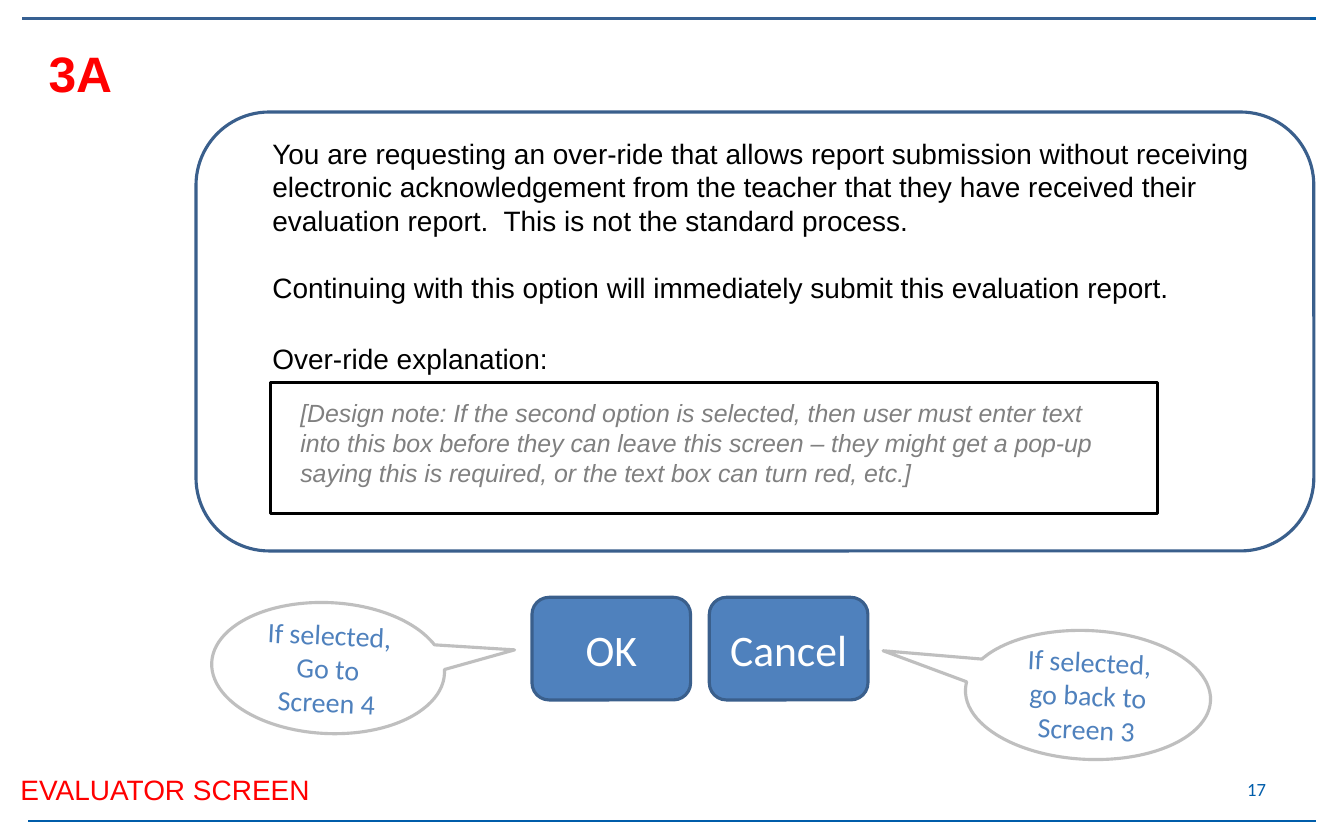
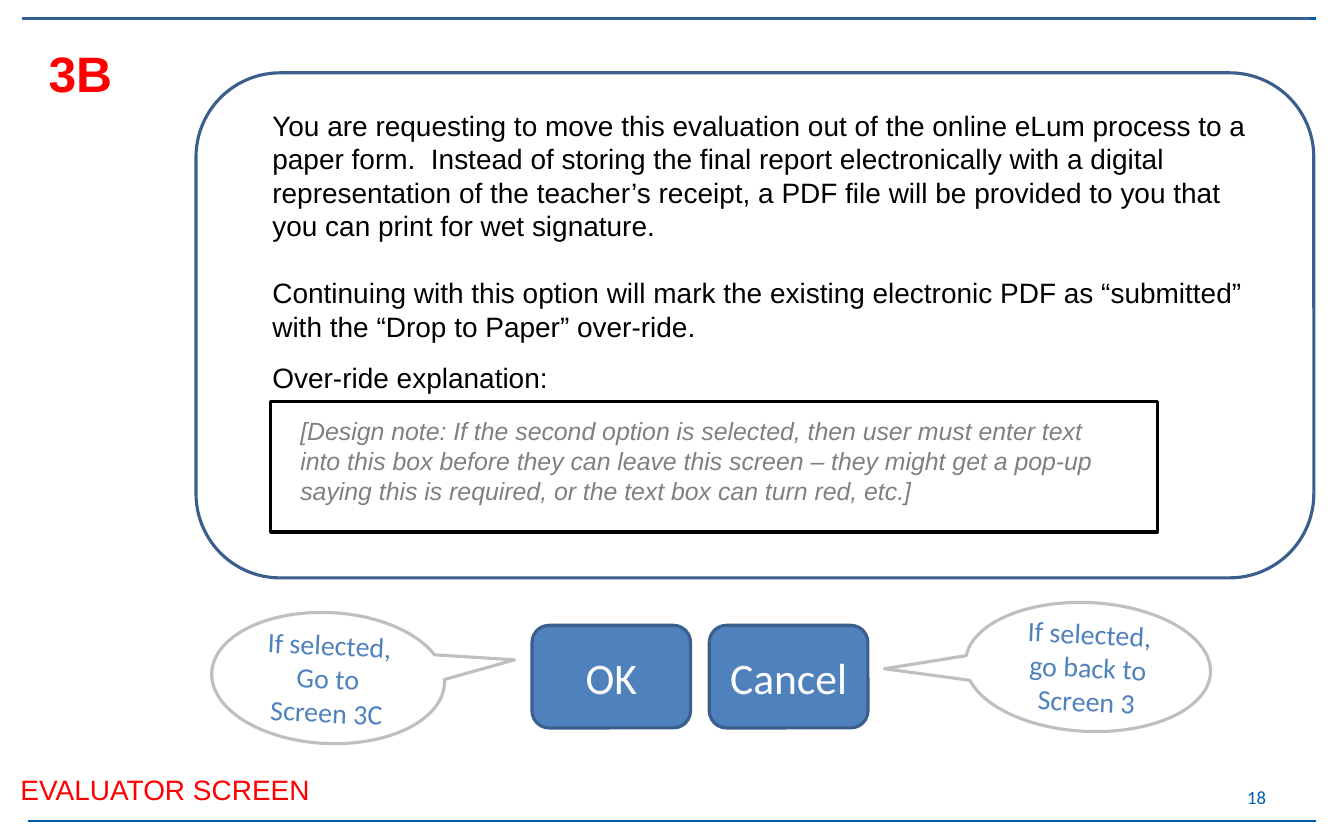
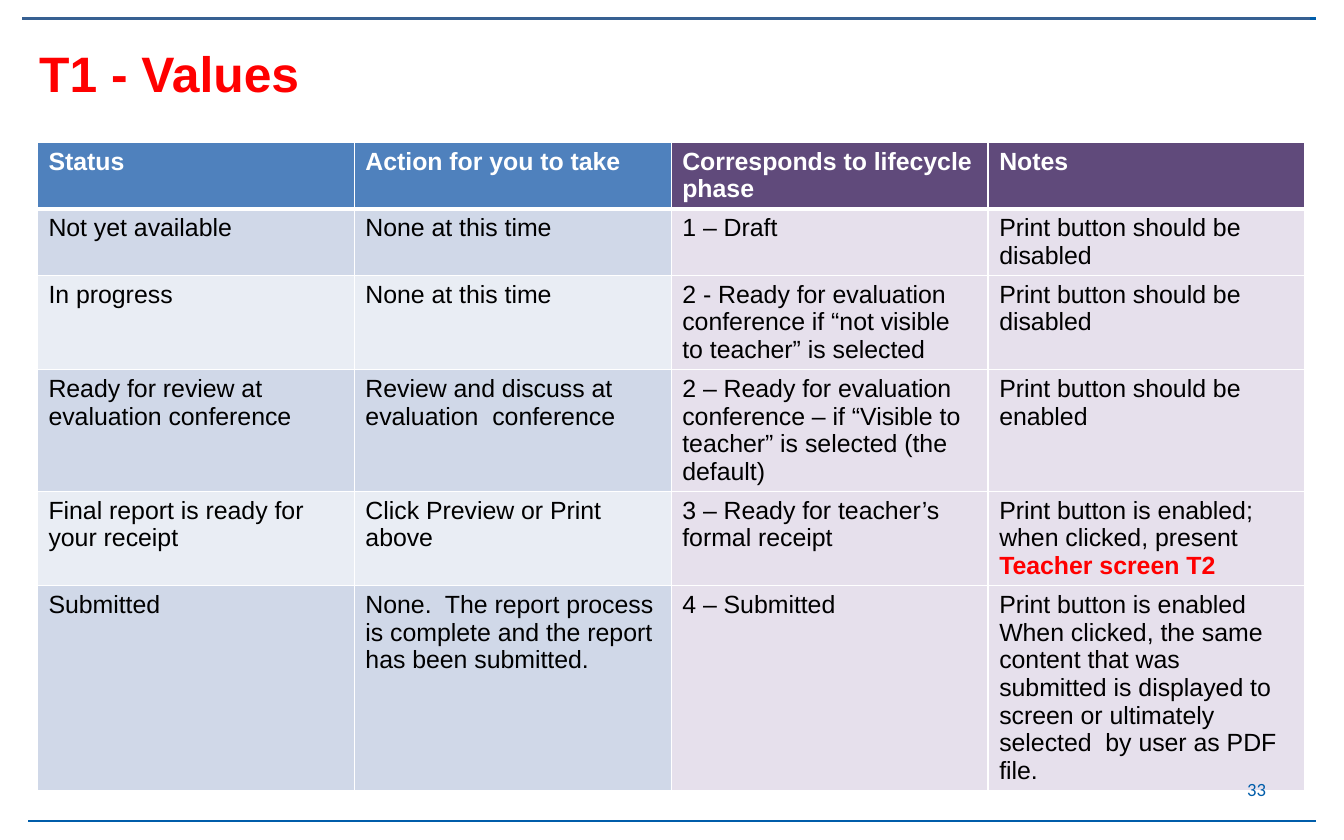
from lxml import etree
from pptx import Presentation
from pptx.dml.color import RGBColor
from pptx.enum.shapes import MSO_CONNECTOR, MSO_SHAPE as SHAPE
from pptx.enum.text import MSO_ANCHOR as ANCHOR, MSO_AUTO_SIZE, PP_ALIGN as ALIGN
from pptx.oxml.ns import qn
from pptx.util import Pt

WHITE, BLACK, RED = "FFFFFF", "000000", "FF0000"
BLUE, EDGE, RULE, TOP_RULE = "4F81BD", "3A5F8C", "005DAA", "376092"
PURPLE, LILAC, GREY, SILVER = "604A7B", "E6E0EC", "808080", "BFBFBF"
BANDS = ["D0D8E8", "E9EDF4"]
BLANK_LINE = 21.5

DESIGN_NOTE = (
    "[Design note: If the second option is selected, then user must enter text into this box "
    "before they can leave this screen – they might get a pop-up saying this is required, "
    "or the text box can turn red, etc.]"
)

SCREENS = [
    dict(
        title="3A", page="17", page_top=493, panel=(126, 72, 718.6, 282.2),
        message_top=84, label_top=216, button_top=384,
        message=[
            "You are requesting an over-ride that allows report submission without receiving "
            "electronic acknowledgement from the teacher that they have received their evaluation "
            "report.  This is not the standard process.",
            "Continuing with this option will immediately submit this evaluation report.",
        ],
        callouts=[
            ("If selected, Go to Screen 4", (136, 387.4, 149.8, 84.2), (0.796, -0.206)),
            ("If selected, go back to Screen 3", (620.6, 405.4, 157.7, 82.8), (-0.843, -0.268)),
        ],
    ),
    dict(
        title="3B", page="18", page_top=498, panel=(126, 46.8, 718.6, 324.7),
        message_top=66, label_top=228, button_top=402,
        message=[
            "You are requesting to move this evaluation out of the online eLum process to a paper "
            "form.  Instead of storing the final report electronically with a digital representation "
            "of the teacher’s receipt, a PDF file will be provided to you that you can print for wet "
            "signature.",
            "Continuing with this option will mark the existing electronic PDF as “submitted” with "
            "the “Drop to Paper” over-ride.",
        ],
        callouts=[
            ("If selected, Go to Screen 3C", (136, 393.8, 149.8, 84.2), (0.796, -0.206)),
            ("If selected, go back to Screen 3", (620.6, 387.4, 157.7, 82.8), (-0.829, 0.088)),
        ],
    ),
]

HIGHLIGHT = "Teacher screen T2"
STATUS_ROWS = [
    ["Status", "Action for you to take", "Corresponds to lifecycle phase", "Notes"],
    ["Not yet available", "None at this time", "1 – Draft", "Print button should be disabled"],
    ["In progress", "None at this time",
     "2 - Ready for evaluation  conference if “not visible to teacher” is selected",
     "Print button should be disabled"],
    ["Ready for review at evaluation conference", "Review and discuss at evaluation  conference",
     "2 – Ready for evaluation conference – if “Visible to teacher” is selected (the default)",
     "Print button should be enabled"],
    ["Final report is ready for your receipt", "Click Preview or Print above",
     "3 – Ready for teacher’s formal receipt",
     "Print button is enabled; when clicked, present " + HIGHLIGHT],
    ["Submitted", "None.  The report process is complete and the report has been submitted.",
     "4 – Submitted",
     "Print button is enabled  When clicked, the same content that was submitted is displayed "
     "to screen or ultimately selected  by user as PDF  file."],
]


def rgb(value):
    return RGBColor.from_string(value)


def style(p, size, color, name="Arial", bold=False, italic=False, align=ALIGN.LEFT):
    font = p.font
    font.size, font.name, font.bold, font.italic = Pt(size), name, bold, italic
    font.color.rgb = rgb(color)
    p.alignment = align


def write(sp, paragraphs, size, color, anchor=ANCHOR.TOP, gap=0, **look):
    tf = sp.text_frame
    tf.word_wrap = True
    tf.auto_size = MSO_AUTO_SIZE.NONE
    tf.vertical_anchor = anchor
    for i, text in enumerate(paragraphs):
        p = tf.add_paragraph() if i else tf.paragraphs[0]
        p.text = text
        style(p, size, color, **look)
        if i:
            p.space_before = Pt(gap)


def add_text(slide, box, paragraphs, size, color, **look):
    sp = slide.shapes.add_textbox(*map(Pt, box))
    write(sp, paragraphs, size, color, **look)


def add_box(slide, kind, box, fill=WHITE, line=None):
    sp = slide.shapes.add_shape(kind, *map(Pt, box))
    sp.shadow.inherit = False
    sp.fill.solid()
    sp.fill.fore_color.rgb = rgb(fill)
    if line:
        sp.line.color.rgb = rgb(line)
        sp.line.width = Pt(2)
    else:
        sp.line.fill.background()
    return sp


def add_rule(slide, left, top, color):
    line = slide.shapes.add_connector(
        MSO_CONNECTOR.STRAIGHT, Pt(left), Pt(top), Pt(left + 828), Pt(top))
    line.line.color.rgb = rgb(color)
    line.line.width = Pt(1.5)
    etree.SubElement(line._element.spPr, qn("a:effectLst"))


def add_base(prs, title, box):
    slide = prs.slides.add_slide(prs.slide_layouts[5])
    sp = slide.shapes.title
    sp.left, sp.top, sp.width, sp.height = map(Pt, box)
    write(sp, [title], 32, RED, bold=True)
    for left, top, color in [(18, 12, RULE), (18, 528, RULE), (14.4, 12, TOP_RULE)]:
        add_rule(slide, left, top, color)
    return slide


def add_page_number(slide, page, top):
    add_text(slide, (619, top, 202, 29), [page], 12, RULE,
             name="Calibri", align=ALIGN.RIGHT, anchor=ANCHOR.MIDDLE)


def add_explanation(slide, left, top):
    add_text(slide, (left, top, 206, 30), ["Over-ride explanation:"], 18, BLACK)
    add_box(slide, SHAPE.RECTANGLE, (left + 6, top + 30, 570, 84), line=BLACK)
    add_text(slide, (left + 18, top + 36, 546, 66), [DESIGN_NOTE], 16, GREY, italic=True)


def add_buttons(slide, left, top):
    for i, label in enumerate(["OK", "Cancel"]):
        sp = add_box(slide, SHAPE.ROUNDED_RECTANGLE, (left + 114 * i, top, 102, 66), BLUE, EDGE)
        write(sp, [label], 28, WHITE, name="Calibri", align=ALIGN.CENTER, anchor=ANCHOR.MIDDLE)


def add_callout(slide, text, box, tip):
    sp = add_box(slide, SHAPE.OVAL_CALLOUT, box, line=SILVER)
    sp.adjustments[0], sp.adjustments[1] = tip
    sp.rotation = 2.7
    write(sp, [text], 18, BLUE, name="Calibri", align=ALIGN.CENTER, anchor=ANCHOR.MIDDLE)


def add_screen(prs, screen):
    slide = add_base(prs, screen["title"], (24, 24, 102, 46))
    add_box(slide, SHAPE.ROUNDED_RECTANGLE, screen["panel"], line=EDGE)
    top = screen["message_top"]
    add_text(slide, (168, top, 642, screen["label_top"] - top - 4), screen["message"], 18, BLACK,
             gap=BLANK_LINE)
    add_explanation(slide, 168, screen["label_top"])
    add_buttons(slide, 342, screen["button_top"])
    for callout in screen["callouts"]:
        add_callout(slide, *callout)
    footer = add_box(slide, SHAPE.RECTANGLE, (6, 493, 240, 29))
    write(footer, ["EVALUATOR SCREEN"], 18, RED)
    add_page_number(slide, screen["page"], screen["page_top"])


def set_borders(cell, bottom):
    tc_pr = cell._tc.get_or_add_tcPr()
    for i, (side, width) in enumerate([("L", 1), ("R", 1), ("T", 1), ("B", bottom)]):
        ln = etree.Element(qn("a:ln" + side), w=str(Pt(width)))
        fill = etree.SubElement(ln, qn("a:solidFill"))
        etree.SubElement(fill, qn("a:srgbClr"), val=WHITE)
        tc_pr.insert(i, ln)


def fill_cell(cell, text, row, col):
    header = row == 0
    if header:
        fill = BLUE if col < 2 else PURPLE
    else:
        fill = BANDS[(row - 1) % 2] if col < 2 else LILAC
    cell.fill.solid()
    cell.fill.fore_color.rgb = rgb(fill)
    set_borders(cell, 3 if header else 1)
    p = cell.text_frame.paragraphs[0]
    style(p, 16, WHITE if header else BLACK, bold=header)
    plain, mark, _ = text.partition(HIGHLIGHT)
    p.add_run().text = plain
    if mark:
        r = p.add_run()
        r.text = mark
        r.font.bold = True
        r.font.color.rgb = rgb(RED)


def add_status_table(slide, left, top, width):
    rows, cols = len(STATUS_ROWS), len(STATUS_ROWS[0])
    table = slide.shapes.add_table(
        rows, cols, Pt(left), Pt(top), Pt(width), Pt(29.5 * rows)).table
    for i, texts in enumerate(STATUS_ROWS):
        for j, text in enumerate(texts):
            fill_cell(table.cell(i, j), text, i, j)


def add_values(prs):
    slide = add_base(prs, "T1 - Values", (18, 24, 426, 46))
    add_status_table(slide, 24, 91.4, 815)
    add_page_number(slide, "33", 493)


def main():
    prs = Presentation()
    prs.slide_width, prs.slide_height = Pt(864), Pt(540)
    for screen in SCREENS:
        add_screen(prs, screen)
    add_values(prs)
    prs.save("out.pptx")


if __name__ == "__main__":
    main()
